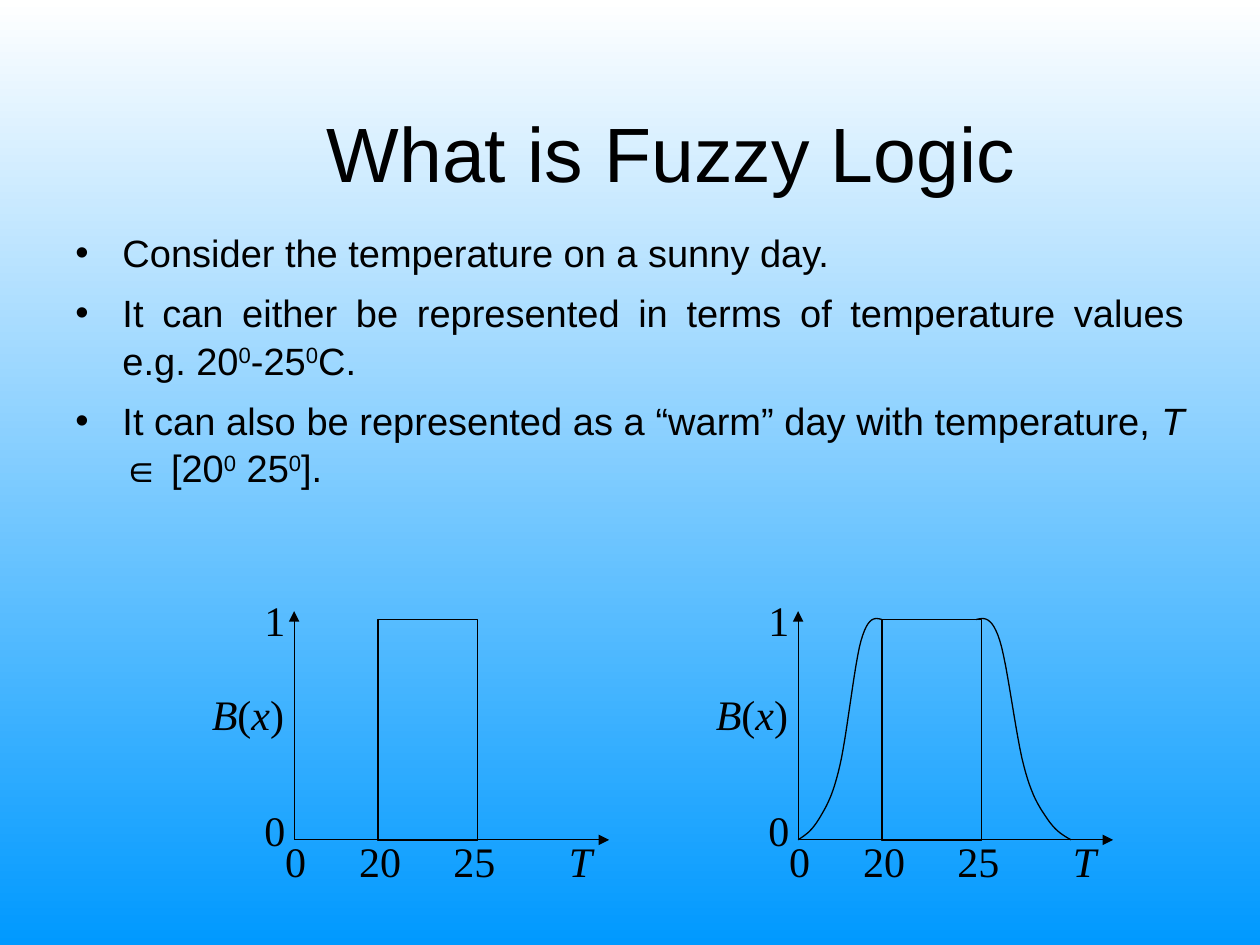
from dataclasses import dataclass

from lxml import etree
from pptx import Presentation
from pptx import util as u
from pptx.dml.color import RGBColor
from pptx.enum import shapes, text
from pptx.oxml import ns

COLORS = {"ink": "000000", "sky_top": "FFFFFF", "sky_bottom": "0099FF"}
TITLE_FONT = {"name": "Arial", "size": u.Pt(44)}
BODY_FONT = {"name": "Arial", "size": u.Pt(21.7)}
LABEL_FONT = {"name": "Times New Roman", "size": u.Pt(24)}
TITLE_PARA = {"alignment": text.PP_ALIGN.CENTER}
BODY_PARA = {"alignment": text.PP_ALIGN.JUSTIFY, "line_spacing": 1.05}
LABEL_PARA = {"alignment": text.PP_ALIGN.LEFT}
PLOT_STEP = 10.16
AXIS_X, AXIS_Y, AXIS_TOP, AXIS_END = 5.93, 16.93, 12.32, 12.28
BEZIER_STEPS = 12


@dataclass(frozen=True)
class Run:
    text: str
    italic: bool = False
    superscript: bool = False


@dataclass(frozen=True)
class Box:
    left: float
    top: float
    width: float
    height: float = 1.27

    def lengths(self, dx: float = 0) -> list:
        return [u.Cm(v) for v in (self.left + dx, self.top, self.width, self.height)]


@dataclass(frozen=True)
class Label:
    runs: tuple
    box: Box


@dataclass(frozen=True)
class Slope:
    foot: float
    stretch: float


TITLE_BOX = Box(2.74, 1.27, 21.59, 3.58)
BODY_BOX = Box(1.27, 4.45, 22.86, 5.36)
CRISP_SET = Box(7.62, 12.49, 2.01, 4.45)
BULLETS = (
    (Run("Consider the temperature on a sunny day."),),
    (
        Run("It can either be represented in terms of temperature values e.g. 20"),
        Run("0", superscript=True),
        Run("-25"),
        Run("0", superscript=True),
        Run("C. "),
    ),
    (
        Run("It can also be represented as a “warm” day with temperature, "),
        Run("T ", italic=True),
        Run("∈ [20"),
        Run("0", superscript=True),
        Run(" 25"),
        Run("0", superscript=True),
        Run("]."),
    ),
)
LABELS = (
    Label((Run("1"),), Box(5.08, 11.85, 1.06)),
    Label((Run("0"),), Box(5.08, 16.09, 1.06)),
    Label((Run("0"),), Box(5.5, 16.72, 1.06)),
    Label((Run("20"),), Box(6.99, 16.72, 1.69)),
    Label((Run("25"),), Box(8.89, 16.72, 1.69)),
    Label((Run("T", italic=True),), Box(11.22, 16.72, 1.48)),
    Label(
        (Run("B", italic=True), Run("("), Run("x", italic=True), Run(")")),
        Box(4.02, 13.76, 2.12),
    ),
)
SLOPES = (Slope(16.09, 1), Slope(21.59, -1.13))
SLOPE_POINTS = (
    (0, 16.93), (0.14, 16.84), (0.27, 16.76), (0.42, 16.51),
    (0.57, 16.26), (0.7, 16.05), (0.84, 15.44),
    (0.98, 14.86), (1.13, 13.41), (1.27, 12.91),
    (1.41, 12.42), (1.55, 12.45), (1.69, 12.49),
)


def rgb(name: str) -> RGBColor:
    return RGBColor.from_string(COLORS[name])


def apply(target, values: dict) -> None:
    for key, value in values.items():
        setattr(target, key, value)


def add_runs(p, runs: tuple, font: dict) -> None:
    for run in runs:
        r = p.add_run()
        r.text = run.text
        apply(r.font, {**font, "italic": run.italic})
        r.font.color.rgb = rgb("ink")
        if run.superscript:
            r._r.get_or_add_rPr().set("baseline", "30000")


def add_text(container, box: Box, runs: tuple, font: dict, para: dict, dx: float = 0):
    tf = container.add_textbox(*box.lengths(dx)).text_frame
    tf.word_wrap = True
    p = tf.paragraphs[0]
    apply(p, para)
    add_runs(p, runs, font)
    return tf


def add_bullet(p) -> None:
    pPr = p._p.get_or_add_pPr()
    pPr.set("marL", str(u.Cm(0.95)))
    pPr.set("indent", str(-u.Cm(0.95)))
    color = etree.SubElement(pPr, ns.qn("a:buClr"))
    etree.SubElement(color, ns.qn("a:srgbClr"), val=COLORS["ink"])
    etree.SubElement(pPr, ns.qn("a:buFont"), typeface="Arial")
    etree.SubElement(pPr, ns.qn("a:buChar"), char="•")


def add_body(s) -> None:
    tf = s.shapes.add_textbox(*BODY_BOX.lengths()).text_frame
    tf.word_wrap = True
    for i, runs in enumerate(BULLETS):
        p = tf.add_paragraph() if i else tf.paragraphs[0]
        add_bullet(p)
        apply(p, {**BODY_PARA, "space_before": u.Pt(7 if i else 0)})
        add_runs(p, runs, BODY_FONT)


def set_line(line) -> None:
    line.color.rgb = rgb("ink")
    line.width = u.Pt(0.75)


def set_outline(sp) -> None:
    sp.shadow.inherit = False
    sp.fill.background()
    set_line(sp.line)


def add_axis(container, end_x: float, end_y: float, dx: float) -> None:
    ends = [u.Cm(v) for v in (AXIS_X + dx, AXIS_Y, end_x + dx, end_y)]
    sp = container.add_connector(shapes.MSO_CONNECTOR.STRAIGHT, *ends)
    set_line(sp.line)
    etree.SubElement(sp.line._get_or_add_ln(), ns.qn("a:tailEnd"), type="triangle")
    etree.SubElement(sp._element.spPr, ns.qn("a:effectLst"))


def bezier(a: tuple, b: tuple, c: tuple, d: tuple, t: float) -> tuple:
    weights = ((1 - t) ** 3, 3 * t * (1 - t) ** 2, 3 * t * t * (1 - t), t**3)
    return tuple(sum(w * v for w, v in zip(weights, axis)) for axis in zip(a, b, c, d))


def add_slope(container, slope: Slope) -> None:
    curve = [SLOPE_POINTS[0]]
    for i in range(0, len(SLOPE_POINTS) - 1, 3):
        segment = SLOPE_POINTS[i:i + 4]
        curve += [bezier(*segment, n / BEZIER_STEPS) for n in range(1, BEZIER_STEPS + 1)]
    points = [(u.Cm(slope.foot + slope.stretch * x), u.Cm(y)) for x, y in curve]
    builder = container.build_freeform(*points[0])
    builder.add_line_segments(points[1:], close=False)
    set_outline(builder.convert_to_shape())


def add_plot(s, dx: float, slopes: tuple = ()) -> None:
    group = s.shapes.add_group_shape().shapes
    add_axis(group, AXIS_X, AXIS_TOP, dx)
    add_axis(group, AXIS_END, AXIS_Y, dx)
    for label in LABELS:
        add_text(group, label.box, label.runs, LABEL_FONT, LABEL_PARA, dx)
    set_outline(group.add_shape(shapes.MSO_SHAPE.RECTANGLE, *CRISP_SET.lengths(dx)))
    for slope in slopes:
        add_slope(group, slope)


def main() -> None:
    prs = Presentation()
    apply(prs, {"slide_width": u.Cm(25.4), "slide_height": u.Cm(19.05)})
    s = prs.slides.add_slide(prs.slide_layouts[6])
    fill = s.background.fill
    fill.gradient()
    fill.gradient_angle = 270
    for stop, name in zip(fill.gradient_stops, ("sky_top", "sky_bottom")):
        stop.color.rgb = rgb(name)
    title = add_text(s.shapes, TITLE_BOX, (Run("What is Fuzzy Logic"),), TITLE_FONT, TITLE_PARA)
    title.vertical_anchor = text.MSO_ANCHOR.MIDDLE
    add_body(s)
    add_plot(s, 0)
    add_plot(s, PLOT_STEP, SLOPES)
    prs.save("out.pptx")


if __name__ == "__main__":
    main()
